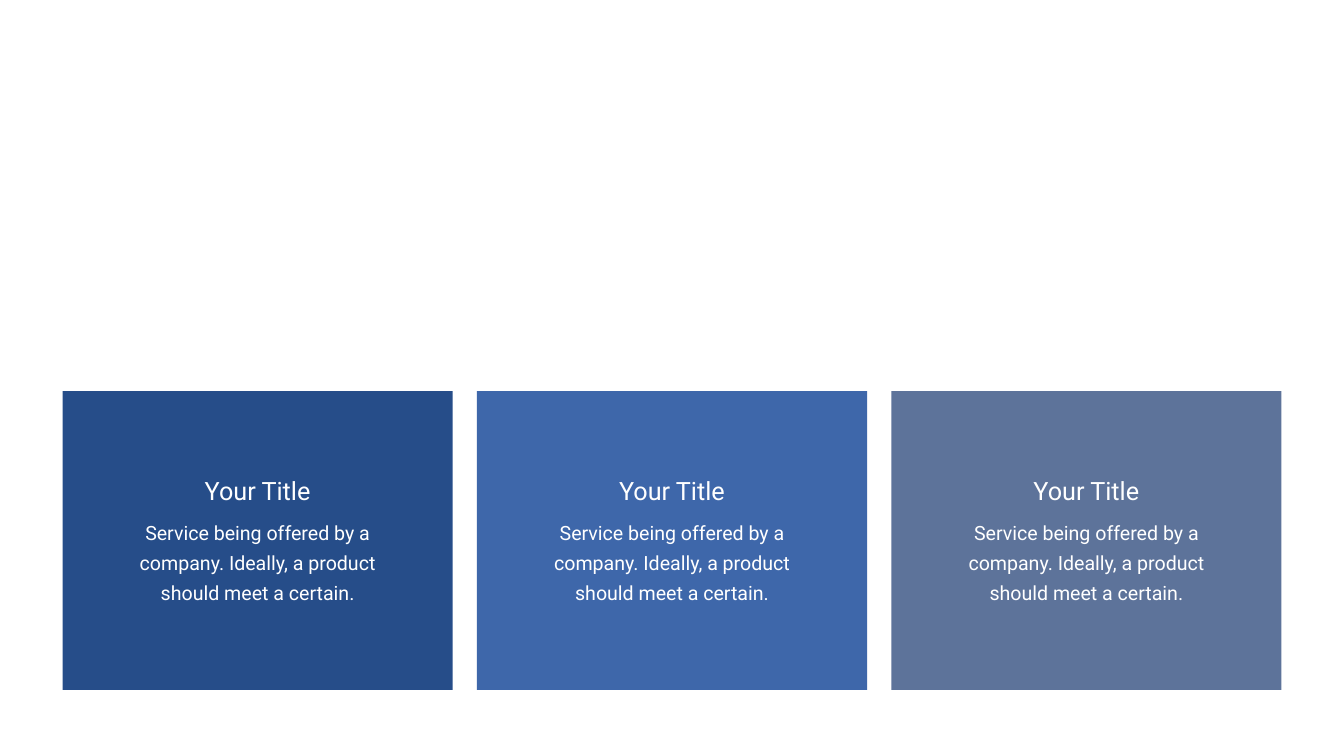
from pptx import Presentation
from pptx.dml.color import RGBColor
from pptx.enum.shapes import MSO_SHAPE
from pptx.enum.text import MSO_AUTO_SIZE, PP_ALIGN
from pptx.util import Pt

COLORS = {"navy": "264D89", "blue": "3E67AA", "slate": "5D739A", "white": "FFFFFF"}
CARD_COLORS = ["navy", "blue", "slate"]
CARD_LEFT, CARD_TOP = 89.28, 558.72
CARD_WIDTH, CARD_HEIGHT = 557.28, 426.96
CARD_PITCH = 591.84

TITLE = {
    "text": "Your Title",
    "top": 675.36, "width": 389.52, "height": 51.12,
    "margins": (7.2, 3.6),
    "font": {"name": "Roboto", "size": Pt(36)},
    "paragraph": {"alignment": PP_ALIGN.CENTER},
}
BODY = {
    "text": "Service being offered by a company. Ideally, a product should meet a certain.",
    "top": 726.48, "width": 446.4, "height": 144,
    "margins": (17.28, 8.64),
    "font": {"name": "Roboto", "size": Pt(28)},
    "paragraph": {"alignment": PP_ALIGN.CENTER, "line_spacing": Pt(43)},
}


def set_attributes(target, values):
    for name, value in values.items():
        setattr(target, name, value)


def add_panel(slide, left, color):
    panel = slide.shapes.add_shape(
        MSO_SHAPE.RECTANGLE, Pt(left), Pt(CARD_TOP), Pt(CARD_WIDTH), Pt(CARD_HEIGHT)
    )
    panel.shadow.inherit = False
    panel.fill.solid()
    panel.fill.fore_color.rgb = RGBColor.from_string(COLORS[color])
    panel.line.fill.background()


def add_label(slide, card_left, style):
    left = card_left + (CARD_WIDTH - style["width"]) / 2
    box = slide.shapes.add_textbox(
        Pt(left), Pt(style["top"]), Pt(style["width"]), Pt(style["height"])
    )
    side, edge = (Pt(margin) for margin in style["margins"])
    frame = box.text_frame
    set_attributes(frame, {
        "word_wrap": True,
        "auto_size": MSO_AUTO_SIZE.SHAPE_TO_FIT_TEXT,
        "margin_left": side, "margin_right": side,
        "margin_top": edge, "margin_bottom": edge,
    })
    para = frame.paragraphs[0]
    set_attributes(para, style["paragraph"])
    span = para.add_run()
    span.text = style["text"]
    set_attributes(span.font, style["font"])
    span.font.color.rgb = RGBColor.from_string(COLORS["white"])


def main():
    deck = Presentation()
    deck.slide_width, deck.slide_height = Pt(1919.52), Pt(1080)
    slide = deck.slides.add_slide(deck.slide_layouts[6])
    for index, color in enumerate(CARD_COLORS):
        left = CARD_LEFT + index * CARD_PITCH
        add_panel(slide, left, color)
        add_label(slide, left, TITLE)
        add_label(slide, left, BODY)
    deck.save("out.pptx")


if __name__ == "__main__":
    main()
